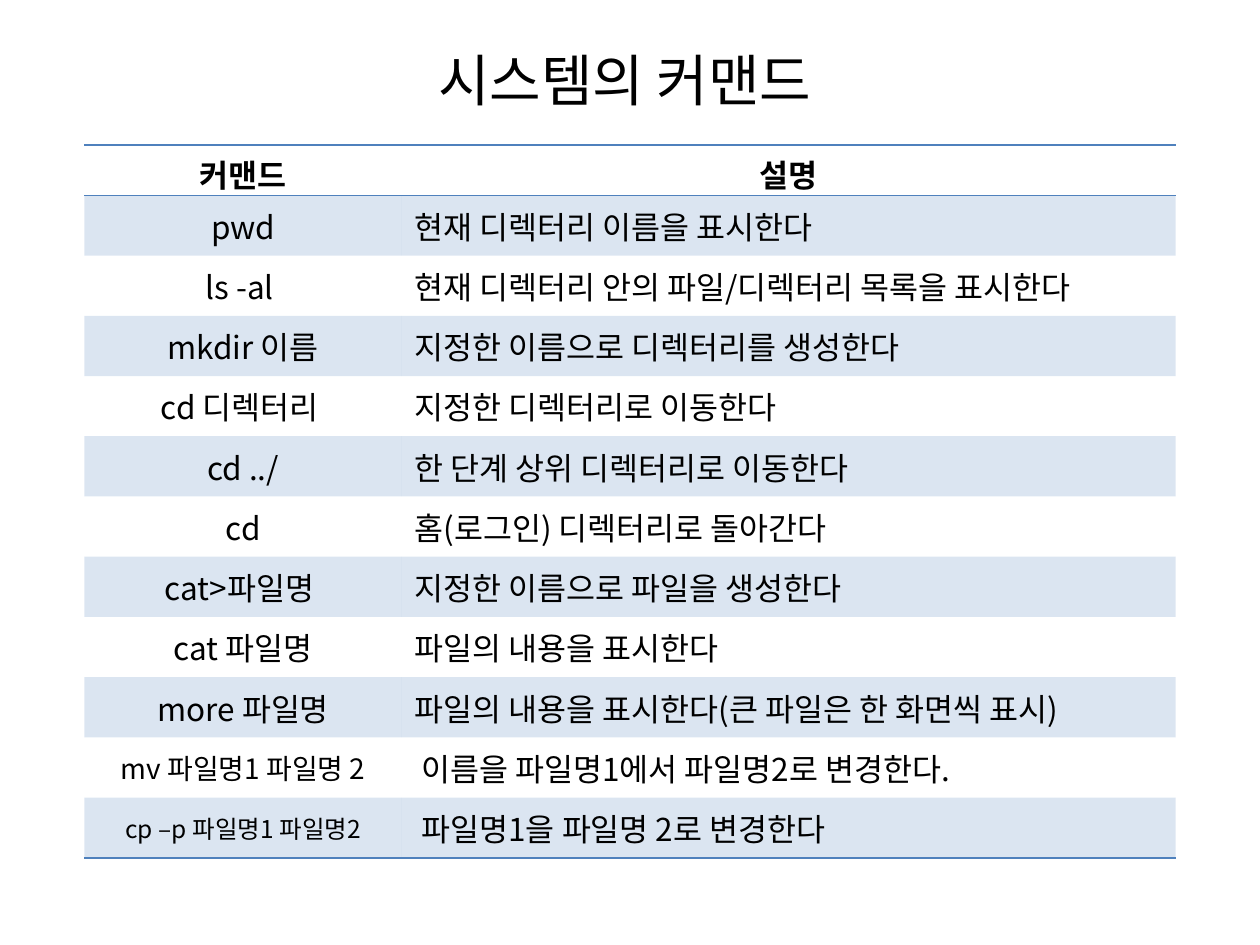
from typing import NamedTuple

from lxml import etree
from pptx import Presentation
from pptx import util as u
from pptx.dml.color import RGBColor
from pptx.enum import text
from pptx.oxml.ns import qn

FONT = "Noto Sans CJK KR"
COLORS = {"ink": "000000", "accent": "4F81BD"}
PLAIN_STYLE = "{2D5ABB26-0587-4C30-8999-92F81FD0307C}"
CENTER, LEFT = text.PP_ALIGN.CENTER, text.PP_ALIGN.LEFT
HEADER_HEIGHT, TABLE_HEIGHT = 0.37, 5.63
COLUMN_WIDTHS = (2.52, 6.14)


class Command(NamedTuple):
    usage: str
    meaning: str
    size: int = 18


COMMANDS = [
    Command("pwd", "현재 디렉터리 이름을 표시한다"),
    Command("ls -al ", "현재 디렉터리 안의 파일/디렉터리 목록을 표시한다"),
    Command("mkdir 이름", "지정한 이름으로 디렉터리를 생성한다"),
    Command("cd 디렉터리 ", "지정한 디렉터리로 이동한다"),
    Command("cd ../", "한 단계 상위 디렉터리로 이동한다"),
    Command("cd", "홈(로그인) 디렉터리로 돌아간다"),
    Command("cat>파일명 ", "지정한 이름으로 파일을 생성한다"),
    Command("cat 파일명", "파일의 내용을 표시한다"),
    Command("more 파일명", "파일의 내용을 표시한다(큰 파일은 한 화면씩 표시)"),
    Command("mv 파일명1 파일명 2", " 이름을 파일명1에서 파일명2로 변경한다.", 16),
    Command("cp –p 파일명1 파일명2", " 파일명1을 파일명 2로 변경한다", 14),
]


def write(frame, words: str, *, size: int = 18, bold: bool = False, align=CENTER) -> None:
    para = frame.paragraphs[0]
    para.alignment = align
    span = para.add_run()
    span.text = words
    span.font.name = FONT
    span.font.size = u.Pt(size)
    span.font.bold = bold
    span.font.color.rgb = RGBColor.from_string(COLORS["ink"])
    etree.SubElement(span.font._element, qn("a:ea"), typeface=FONT)


def tint(cell, percent: int) -> None:
    cell.fill.solid()
    cell.fill.fore_color.rgb = RGBColor.from_string(COLORS["accent"])
    color = cell._tc.tcPr.find(".//" + qn("a:srgbClr"))
    etree.SubElement(color, qn("a:alpha"), val=str(percent * 1000))


def rule(cell, *sides: str) -> None:
    properties = cell._tc.get_or_add_tcPr()
    for position, side in enumerate(sides):
        line = etree.Element(qn(f"a:ln{side}"), w=str(u.Pt(1)))
        fill = etree.SubElement(line, qn("a:solidFill"))
        etree.SubElement(fill, qn("a:srgbClr"), val=COLORS["accent"])
        properties.insert(position, line)


def add_title(page, words: str) -> None:
    box = page.shapes.add_textbox(u.Inches(0.51), 0, u.Inches(9), u.Inches(1.25))
    box.text_frame.word_wrap = True
    box.text_frame.vertical_anchor = text.MSO_ANCHOR.MIDDLE
    write(box.text_frame, words, size=32)


def add_command_table(page, commands: list[Command]) -> None:
    table = page.shapes.add_table(
        len(commands) + 1, len(COLUMN_WIDTHS), u.Inches(0.67), u.Inches(1.15),
        u.Inches(sum(COLUMN_WIDTHS)), u.Inches(TABLE_HEIGHT),
    ).table
    table._tbl.tblPr.find(qn("a:tableStyleId")).text = PLAIN_STYLE
    for column, width in zip(table.columns, COLUMN_WIDTHS):
        column.width = u.Inches(width)
    body_height = (TABLE_HEIGHT - HEADER_HEIGHT) / len(commands)
    for number, row in enumerate(table.rows):
        row.height = u.Inches(body_height if number else HEADER_HEIGHT)
        for cell in row.cells:
            cell.vertical_anchor = text.MSO_ANCHOR.MIDDLE
            if number % 2:
                tint(cell, 20)
            else:
                cell.fill.background()
            if number == 0:
                rule(cell, "T", "B")
            elif number == len(commands):
                rule(cell, "B")
    for cell, heading in zip(table.rows[0].cells, ("커맨드", "설명")):
        write(cell.text_frame, heading, bold=True)
    for number, command in enumerate(commands, start=1):
        write(table.cell(number, 0).text_frame, command.usage, size=command.size)
        write(table.cell(number, 1).text_frame, command.meaning, align=LEFT)


def main() -> None:
    deck = Presentation()
    deck.slide_width, deck.slide_height = u.Inches(10), u.Inches(7.5)
    page = deck.slides.add_slide(deck.slide_layouts[6])
    add_title(page, "시스템의 커맨드 ")
    add_command_table(page, COMMANDS)
    deck.save("out.pptx")


if __name__ == "__main__":
    main()
